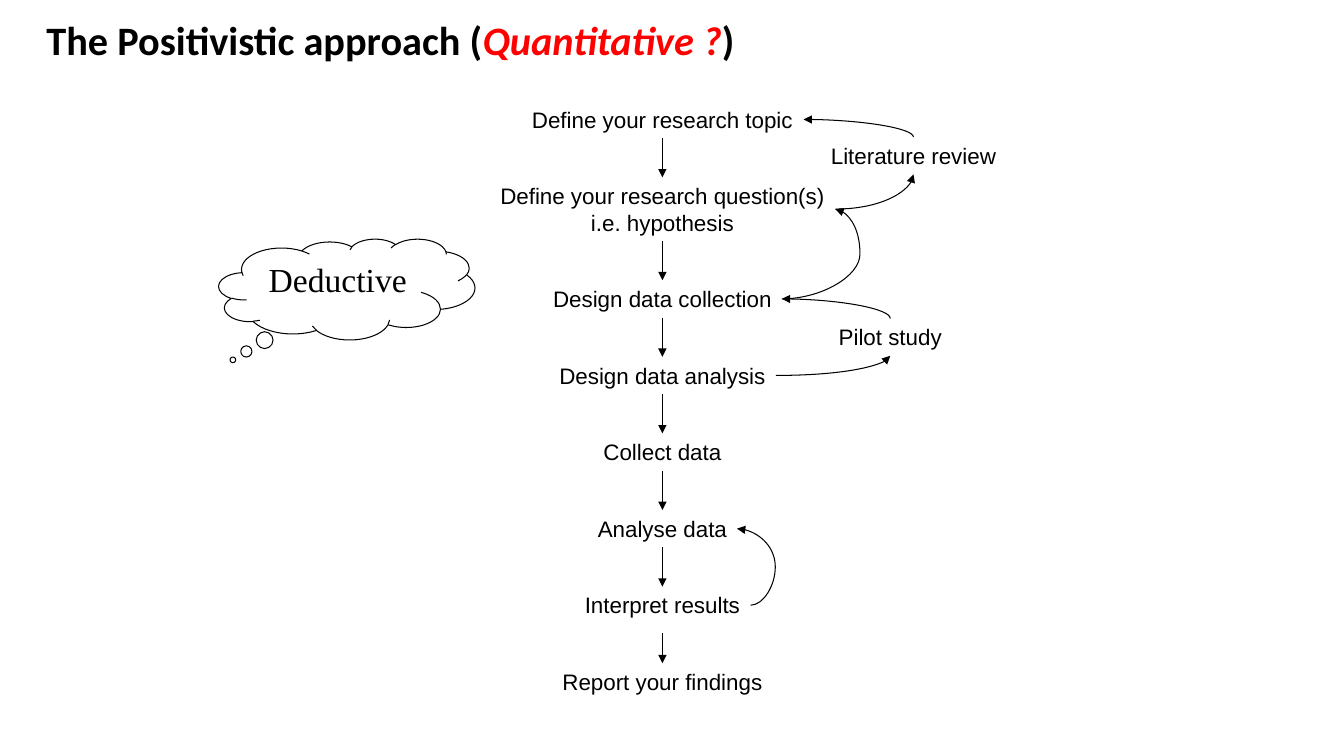
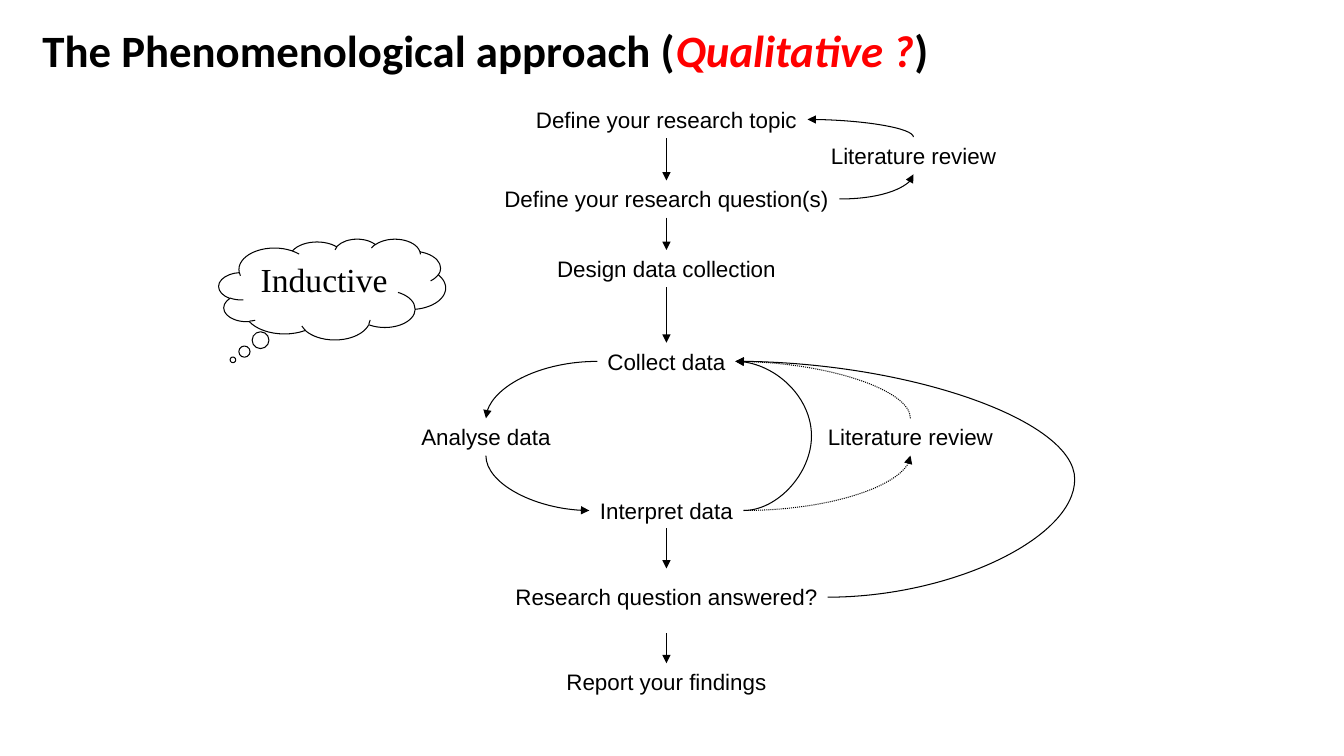
from pptx import Presentation
from pptx.dml.color import RGBColor
from pptx.enum.dml import MSO_LINE
from pptx.enum.shapes import MSO_CONNECTOR as CONN, MSO_SHAPE
from pptx.enum.text import MSO_ANCHOR, MSO_AUTO_SIZE, PP_ALIGN
from pptx.oxml.ns import qn
from pptx.util import Inches, Pt
from lxml import etree

BLACK = RGBColor(0x00, 0x00, 0x00)
RED = RGBColor(0xFF, 0x00, 0x00)
LINE_WIDTH = Pt(0.75)
LABEL_HEIGHT = 0.37
TOP, LEFT, BOTTOM, RIGHT = range(4)  # connection sites of a label

TOPIC = "Define your research topic"
QUESTION = "Define your research question(s)"
HYPOTHESIS = QUESTION + "\ni.e. hypothesis"
REVIEW = "Literature review"
DESIGN = "Design data collection"
PLAN = "Design data analysis"
PILOT = "Pilot study"
COLLECT = "Collect data"
ANALYSE = "Analyse data"
RESULTS = "Interpret results"
INTERPRET = "Interpret data"
ANSWERED = "Research question answered?"
REPORT = "Report your findings"

# Label widths in inches; curves start and end at the label edges
WIDTHS = {TOPIC: 2.8, QUESTION: 3.43, HYPOTHESIS: 3.43, REVIEW: 1.84,
          DESIGN: 2.37, PLAN: 2.25, PILOT: 1.23, COLLECT: 1.37,
          ANALYSE: 1.48, RESULTS: 1.75, INTERPRET: 1.53, ANSWERED: 3.2,
          REPORT: 2.19}


# Text elements
def style_run(r, font, size, color=BLACK):
    r.font.name = font
    r.font.size = Pt(size)
    r.font.color.rgb = color


def add_title(s, text, kind, size, left, top, height):
    sp = s.shapes.title
    sp.left, sp.top = Inches(left), Inches(top)
    sp.width, sp.height = Inches(9), Inches(height)
    tf = sp.text_frame
    tf.word_wrap = True
    tf.auto_size = MSO_AUTO_SIZE.NONE
    tf.vertical_anchor = MSO_ANCHOR.MIDDLE
    p = tf.paragraphs[0]
    p.alignment = PP_ALIGN.LEFT
    p.line_spacing = 0.9
    for part in (text + " (", kind, ")"):
        r = p.add_run()
        r.text = part
        style_run(r, "Calibri", size, RED if part == kind else BLACK)
        r.font.bold = True
        r.font.italic = part == kind


def add_label(s, text, center, top, height=LABEL_HEIGHT):
    width = WIDTHS[text]
    sp = s.shapes.add_textbox(Inches(center - width / 2), Inches(top),
                              Inches(width), Inches(height))
    tf = sp.text_frame
    tf.word_wrap = False
    tf.auto_size = MSO_AUTO_SIZE.SHAPE_TO_FIT_TEXT
    tf.text = text
    for p in tf.paragraphs:
        p.alignment = PP_ALIGN.CENTER
        style_run(p.runs[0], "Arial", 16)
    return sp


def add_cloud(s, text, width):
    left, tail_tip = 2.17, 2.31
    sp = s.shapes.add_shape(MSO_SHAPE.CLOUD_CALLOUT, Inches(left),
                            Inches(2.37), Inches(width), Inches(1))
    sp.adjustments[0] = (tail_tip - left - width / 2) / width
    sp.adjustments[1] = 0.7
    sp.shadow.inherit = False
    sp.fill.background()
    sp.line.color.rgb = BLACK
    sp.line.width = LINE_WIDTH
    tf = sp.text_frame
    tf.vertical_anchor = MSO_ANCHOR.TOP
    tf.text = text
    p = tf.paragraphs[0]
    p.alignment = PP_ALIGN.CENTER
    style_run(p.runs[0], "Times New Roman", 24)


# Arrows
def site(sp, side):
    x = sp.left + (0, -1, 0, 1)[side] * sp.width // 2 + sp.width // 2
    y = sp.top + (-1, 0, 1, 0)[side] * sp.height // 2 + sp.height // 2
    return x, y


def add_arrow(s, kind, start, end, dotted=False):
    c = s.shapes.add_connector(kind, *(int(v) for v in (*start, *end)))
    c.line.color.rgb = BLACK
    c.line.width = LINE_WIDTH
    if dotted:
        c.line.dash_style = MSO_LINE.ROUND_DOT
    spPr = c._element.spPr
    etree.SubElement(spPr.find(qn("a:ln")), qn("a:tailEnd"), type="triangle")
    etree.SubElement(spPr, qn("a:effectLst"))
    return c


def link_down(s, upper, lower):
    c = add_arrow(s, CONN.STRAIGHT, site(upper, BOTTOM), site(lower, TOP))
    c.begin_connect(upper, BOTTOM)
    c.end_connect(lower, TOP)


def short_arrow(s, center, top, bottom):
    add_arrow(s, CONN.STRAIGHT, (Inches(center), Inches(top)),
              (Inches(center), Inches(bottom)))


def curve_sideways(s, start, end, dotted=False):
    """Quarter curve that leaves horizontally and arrives vertically."""
    c = add_arrow(s, CONN.CURVE, start, end, dotted)
    c._element.spPr.find(qn("a:prstGeom")).set("prst", "curvedConnector2")
    return c


def curve_upright(s, start, end, dotted=False):
    """Quarter curve that leaves vertically and arrives horizontally."""
    (x1, y1), (x2, y2) = start, end
    cx, cy = (x1 + x2) / 2, (y1 + y2) / 2
    half_w, half_h = abs(y2 - y1) / 2, abs(x2 - x1) / 2
    c = curve_sideways(s, (cx + half_w, cy - half_h),
                       (cx - half_w, cy + half_h), dotted)
    angle = 90 if x2 < x1 else 270
    c._element.spPr.find(qn("a:xfrm")).set("rot", str(angle * 60000))


def curve_back(s, start, end, bulge):
    """Loop that swings out to the x position bulge and returns."""
    c = add_arrow(s, CONN.CURVE, start, end)
    geom = c._element.spPr.find(qn("a:prstGeom"))
    guides = geom.find(qn("a:avLst"))
    if guides is None:
        guides = etree.SubElement(geom, qn("a:avLst"))
    ratio = (Inches(bulge) - start[0]) / (end[0] - start[0])
    etree.SubElement(guides, qn("a:gd"), name="adj1",
                     fmla=f"val {round(ratio * 100000)}")


def review_loop(s, source, review, target, dotted=False):
    """From source up to a side label, then back to target."""
    curve_sideways(s, site(source, RIGHT), site(review, BOTTOM), dotted)
    curve_upright(s, site(review, TOP), site(target, RIGHT), dotted)


# Slides
def positivistic_slide(prs):
    s = prs.slides.add_slide(prs.slide_layouts[5])
    add_title(s, "The Positivistic approach", "Quantitative ?",
              28.8, 0.36, 0.22, 0.41)
    center, top, gap = 6.57, 1, 0.39
    steps = []
    for text in (TOPIC, HYPOTHESIS, DESIGN, PLAN, COLLECT, ANALYSE,
                 RESULTS, REPORT):
        height = 0.63 if text == HYPOTHESIS else LABEL_HEIGHT
        steps.append(add_label(s, text, center, top, height))
        top += height + gap
    topic, question, design, plan, _, analyse, results, _ = steps
    review = add_label(s, REVIEW, 9.06, 1.36)
    pilot = add_label(s, PILOT, 8.83, 3.16)

    for upper, lower in zip(steps[:-2], steps[1:-1]):
        link_down(s, upper, lower)
    short_arrow(s, center, 6.28, 6.58)
    review_loop(s, question, review, topic)
    review_loop(s, plan, pilot, design)
    curve_back(s, site(design, RIGHT), site(question, RIGHT), 8.53)
    curve_back(s, site(results, RIGHT), site(analyse, RIGHT), 7.69)
    add_cloud(s, "Deductive", 2.54)


def phenomenological_slide(prs):
    s = prs.slides.add_slide(prs.slide_layouts[5])
    add_title(s, "The Phenomenological approach", "Qualitative ?",
              32, 0.32, 0.15, 0.76)
    center = 6.61
    column = ((TOPIC, 1), (QUESTION, 1.79), (DESIGN, 2.48), (COLLECT, 3.4),
              (INTERPRET, 4.88), (ANSWERED, 5.74), (REPORT, 6.58))
    steps = [add_label(s, text, center, top) for text, top in column]
    topic, question, design, collect, interpret, answered, _ = steps
    review = add_label(s, REVIEW, 9.06, 1.36)
    second_review = add_label(s, REVIEW, 9.03, 4.15)
    analyse = add_label(s, ANALYSE, 4.82, 4.15)

    for upper, lower in zip(steps[:3], steps[1:4]):
        link_down(s, upper, lower)
    short_arrow(s, center, 5.24, 5.64)
    short_arrow(s, center, 6.28, 6.58)
    review_loop(s, question, review, topic)
    review_loop(s, interpret, second_review, collect, dotted=True)
    curve_sideways(s, site(collect, LEFT), site(analyse, TOP))
    curve_upright(s, site(analyse, BOTTOM), site(interpret, LEFT))
    curve_back(s, site(interpret, RIGHT), site(collect, RIGHT), 8.05)
    curve_back(s, site(answered, RIGHT), site(collect, RIGHT), 10.66)
    add_cloud(s, "Inductive", 2.25)


def main():
    prs = Presentation()
    prs.slide_width, prs.slide_height = Inches(13.33), Inches(7.5)
    positivistic_slide(prs)
    phenomenological_slide(prs)
    prs.save("out.pptx")


main()
